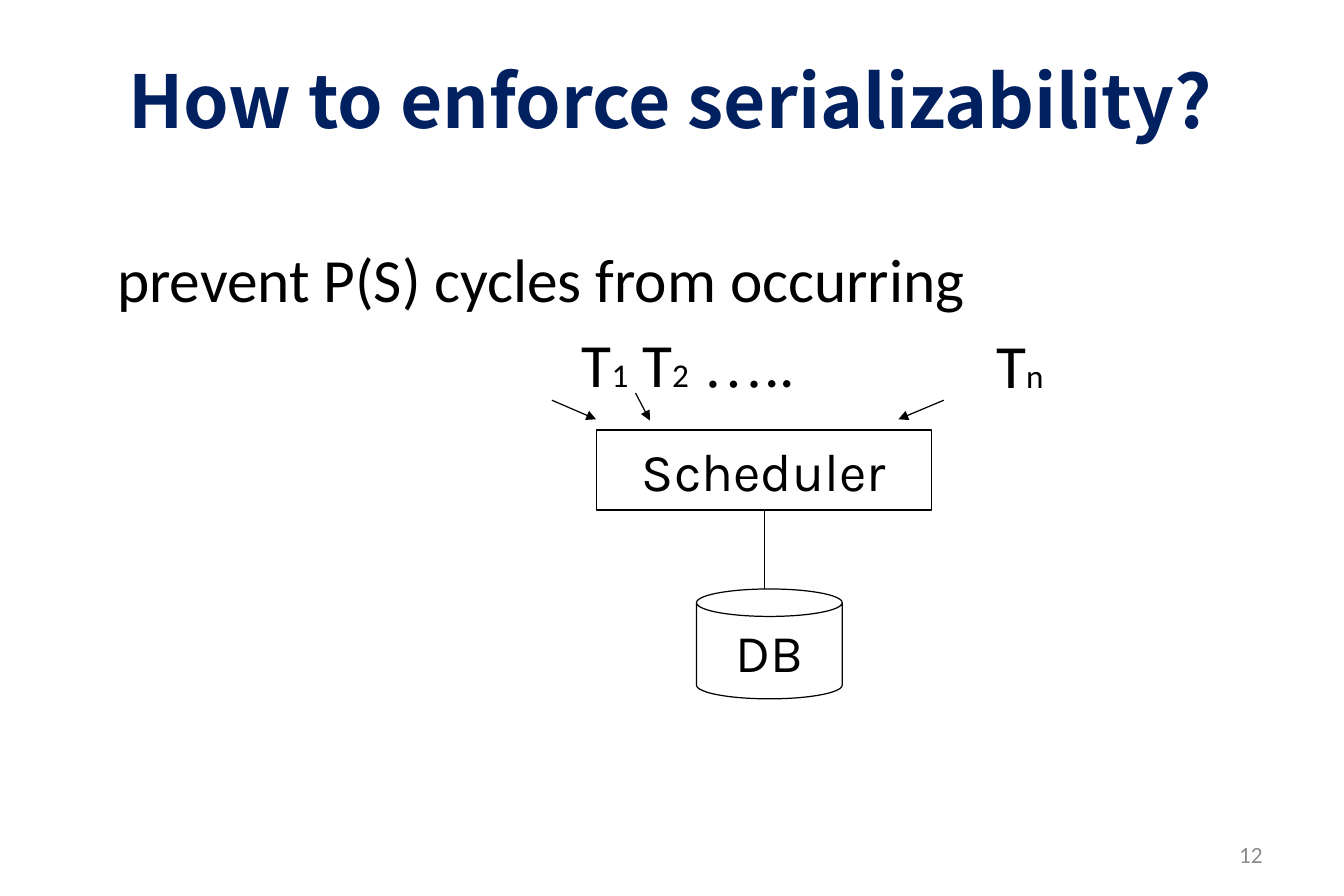
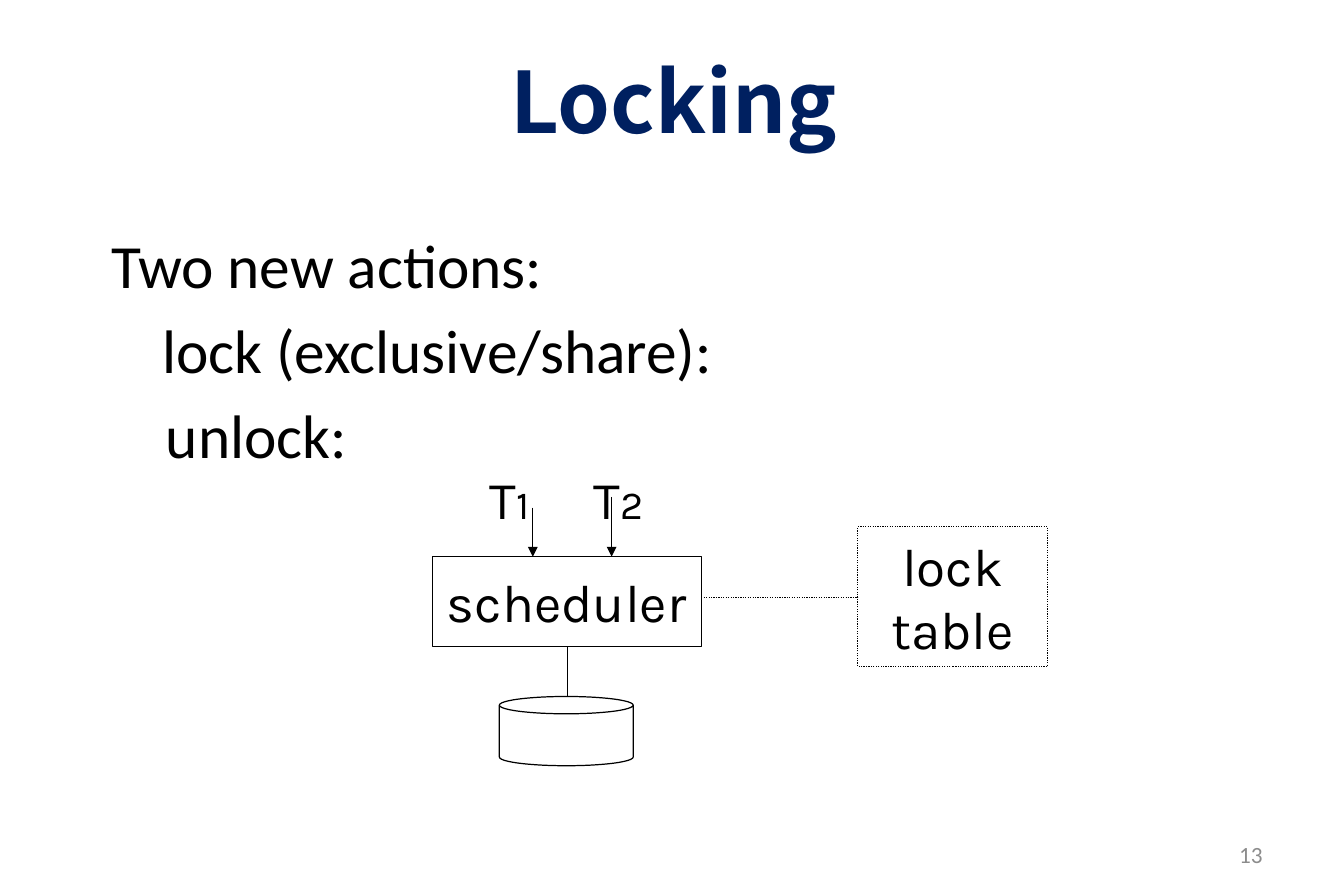
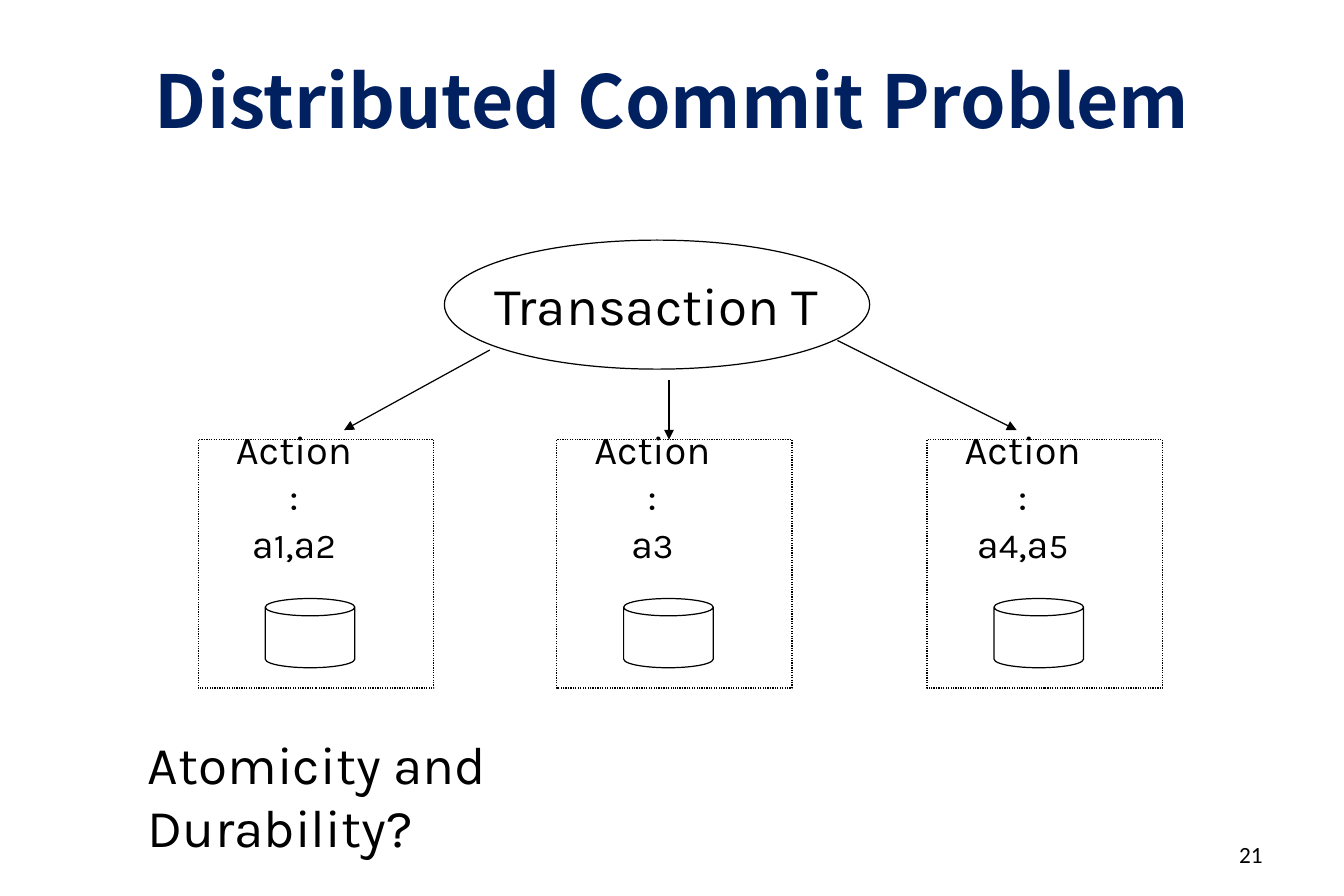
from lxml import etree
from pptx import Presentation
from pptx.dml.color import RGBColor
from pptx.enum.dml import MSO_LINE
from pptx.enum.shapes import MSO_CONNECTOR, MSO_SHAPE
from pptx.enum.text import MSO_ANCHOR, MSO_AUTO_SIZE, PP_ALIGN
from pptx.oxml.ns import qn
from pptx.util import Inches, Pt

BLACK = RGBColor(0x00, 0x00, 0x00)
WHITE = RGBColor(0xFF, 0xFF, 0xFF)
NAVY = RGBColor(0x00, 0x20, 0x60)
GRAY = RGBColor(0x8C, 0x8C, 0x8C)
TITLE_FONT = "Noto Sans CJK SC"
BODY_FONT = "Calibri"
LABEL_FONT = "Karla"
DOTS_FONT = "Times New Roman"
LEFT, CENTER, RIGHT = PP_ALIGN.LEFT, PP_ALIGN.CENTER, PP_ALIGN.RIGHT
TOP, MIDDLE = MSO_ANCHOR.TOP, MSO_ANCHOR.MIDDLE
NO_FIT, GROW = MSO_AUTO_SIZE.NONE, MSO_AUTO_SIZE.SHAPE_TO_FIT_TEXT
RECTANGLE, CAN, OVAL = MSO_SHAPE.RECTANGLE, MSO_SHAPE.CAN, MSO_SHAPE.OVAL
STRAIGHT, DOTTED = MSO_CONNECTOR.STRAIGHT, MSO_LINE.ROUND_DOT
LABEL_INSETS = (0.1, 0.05)
FRAME_INSETS = (0.12, 0.06)
BODY_SIZE, SMALL = 37, 20
BODY_STYLE = dict(size=BODY_SIZE, font=BODY_FONT, before=7)
BODY_FRAME = dict(insets=FRAME_INSETS, anchor=TOP)
TITLE_ONLY = 5


def set_frame(frame, insets=LABEL_INSETS, anchor=MIDDLE, wrap=True, fit=NO_FIT):
    """Set the margins, anchor and wrapping of a text frame."""
    side, edge = insets
    frame.margin_left = frame.margin_right = Inches(side)
    frame.margin_top = frame.margin_bottom = Inches(edge)
    frame.vertical_anchor = anchor
    frame.word_wrap = wrap
    frame.auto_size = fit


def write_para(para, spans, size=32, font=LABEL_FONT, color=BLACK, bold=False,
               align=LEFT, before=0, spacing=None, indent=0):
    """Write spans, each a text or a (text, size, font) tuple, into a paragraph."""
    para.alignment = align
    para.space_before = Pt(before)
    if spacing:
        para.line_spacing = spacing
    properties = para._p.get_or_add_pPr()
    properties.set("marL", str(Inches(indent)))
    properties.set("indent", "0")
    for span in spans:
        text, span_size, span_font = span if isinstance(span, tuple) else (span, size, font)
        run = para.add_run()
        run.text = text
        run.font.size = Pt(span_size)
        run.font.name = span_font
        run.font.bold = bold
        run.font.color.rgb = color


def add_text(page, left, top, width, height, spans, frame=None, **style):
    """Add a text box with one paragraph and return its text frame."""
    box = page.shapes.add_textbox(Inches(left), Inches(top), Inches(width), Inches(height))
    set_frame(box.text_frame, **(frame or {}))
    write_para(box.text_frame.paragraphs[0], spans, **style)
    return box.text_frame


def add_body(page, left, top, paragraphs):
    """Add the main text from (spans, indent) pairs."""
    (first, indent), *others = paragraphs
    frame = add_text(page, left, top, 9.56, 4.5, first, frame=BODY_FRAME,
                     indent=indent, **BODY_STYLE)
    for spans, indent in others:
        write_para(frame.add_paragraph(), spans, indent=indent, **BODY_STYLE)


def set_line(line, dash=None):
    """Give a line the thin black stroke of the diagrams."""
    line.color.rgb = BLACK
    line.width = Pt(0.75)
    if dash:
        line.dash_style = dash


def add_node(page, kind, left, top, width, height, *rows, dash=None):
    """Add a white outlined shape with centred rows of text."""
    node = page.shapes.add_shape(kind, Inches(left), Inches(top), Inches(width), Inches(height))
    node.shadow.inherit = False
    node.fill.solid()
    node.fill.fore_color.rgb = WHITE
    set_line(node.line, dash)
    frame = node.text_frame
    set_frame(frame, wrap=False)
    for index, row in enumerate(rows):
        para = frame.add_paragraph() if index else frame.paragraphs[0]
        write_para(para, [row], align=CENTER)


def add_link(page, start, end, arrow=True, dash=None):
    """Connect two points, with an arrowhead at the end if wanted."""
    link = page.shapes.add_connector(STRAIGHT, *map(Inches, start + end))
    set_line(link.line, dash)
    if arrow:
        etree.SubElement(link.line._get_or_add_ln(), qn("a:tailEnd"), type="triangle")
    etree.SubElement(link._element.spPr, qn("a:effectLst"))


def add_page(deck, title, number, place, size=44, number_color=GRAY):
    """Add a slide with its title and page number."""
    page = deck.slides.add_slide(deck.slide_layouts[TITLE_ONLY])
    heading = page.shapes.title
    heading.left, heading.top, heading.width, heading.height = map(Inches, place)
    set_frame(heading.text_frame, insets=FRAME_INSETS)
    write_para(heading.text_frame.paragraphs[0], [title], size=size,
               font=TITLE_FONT, color=NAVY, bold=True, align=CENTER)
    add_text(page, 8.07, 6.95, 2.62, 0.4, [number], frame=dict(insets=FRAME_INSETS),
             size=14, font=BODY_FONT, color=number_color, align=RIGHT)
    return page


def build_serializability(deck):
    """Show transactions entering the scheduler above the database."""
    page = add_page(deck, "How to enforce serializability?", "12", (0.49, 0.21, 10.25, 1.25))
    transactions = ["T", ("1", SMALL, BODY_FONT), " T", ("2", SMALL, BODY_FONT), " ",
                    ("…", BODY_SIZE, DOTS_FONT), ".."]
    add_body(page, 0.86, 1.96, [(["prevent P(S) cycles from occurring"], 0),
                                (transactions, 3.89)])
    add_text(page, 8.22, 2.68, 1, 0.75, ["T", ("n", SMALL, BODY_FONT)],
             frame=BODY_FRAME, **BODY_STYLE)
    add_node(page, RECTANGLE, 4.99, 3.6, 2.81, 0.67, "Scheduler")
    add_node(page, CAN, 5.83, 4.93, 1.22, 0.92, "DB")
    add_link(page, (6.4, 4.26), (6.4, 4.93), arrow=False)
    add_link(page, (4.62, 3.35), (4.99, 3.51))
    add_link(page, (5.32, 3.29), (5.44, 3.52))
    add_link(page, (7.9, 3.35), (7.52, 3.51))


def build_locking(deck):
    """Show the scheduler with its lock table."""
    page = add_page(deck, "Locking", "13", (0.86, 0.21, 9.56, 1.25), size=51)
    add_body(page, 0.81, 1.84, [(["Two new actions:"], 0),
                                (["lock (exclusive/share):"], 0.43),
                                (["unlock:"], 0.46)])
    add_node(page, RECTANGLE, 3.62, 4.66, 2.25, 0.75, "scheduler")
    add_node(page, CAN, 4.18, 5.83, 1.12, 0.58)
    add_link(page, (4.75, 5.41), (4.75, 5.83), arrow=False)
    for left, index in ((4, "1"), (4.87, "2")):
        add_text(page, left, 3.85, 0.7, 0.64, ["T", (index, 24, LABEL_FONT)])
    add_link(page, (4.46, 4.25), (4.46, 4.66))
    add_link(page, (5.12, 4.16), (5.12, 4.66))
    add_node(page, RECTANGLE, 7.18, 4.41, 1.59, 1.17, "lock", "table", dash=DOTTED)
    add_link(page, (5.87, 5), (7.18, 5), arrow=False, dash=DOTTED)


def add_site(page, left, actions):
    """Add a dotted site with its database and actions."""
    add_node(page, RECTANGLE, left, 3.68, 1.97, 2.08, dash=DOTTED)
    add_node(page, CAN, left + 0.56, 5.01, 0.75, 0.58)
    style = dict(size=24, align=CENTER, before=12)
    frame = add_text(page, left + 0.18, 3.68, 1.24, 0.91, ["Action:"],
                     frame=dict(fit=GROW), **style)
    spans = [(text, 21, LABEL_FONT) if text.isdigit() else text for text in actions]
    write_para(frame.add_paragraph(), spans, spacing=0.5, **style)


def build_commit(deck):
    """Show one transaction spread over three sites."""
    page = add_page(deck, "Distributed Commit Problem", "21", (0.51, 0.36, 10.24, 0.94),
                    number_color=BLACK)
    sites = ((1.66, ("a", "1", ",a", "2")), (4.66, ("a", "3")), (7.76, ("a", "4", ",a", "5")))
    for left, actions in sites:
        add_site(page, left, actions)
    add_node(page, OVAL, 3.72, 2.01, 3.56, 1.08, "Transaction T")
    add_link(page, (5.6, 3.18), (5.6, 3.68))
    add_link(page, (4.1, 2.93), (2.88, 3.6))
    add_link(page, (7.01, 2.85), (8.51, 3.6))
    add_text(page, 1.14, 6.07, 5.13, 0.64, ["Atomicity and Durability?"],
             frame=dict(anchor=TOP, fit=GROW))


def main():
    """Build and save the deck."""
    deck = Presentation()
    deck.slide_width, deck.slide_height = Inches(11.25), Inches(7.5)
    build_serializability(deck)
    build_locking(deck)
    build_commit(deck)
    deck.save("out.pptx")


main()
